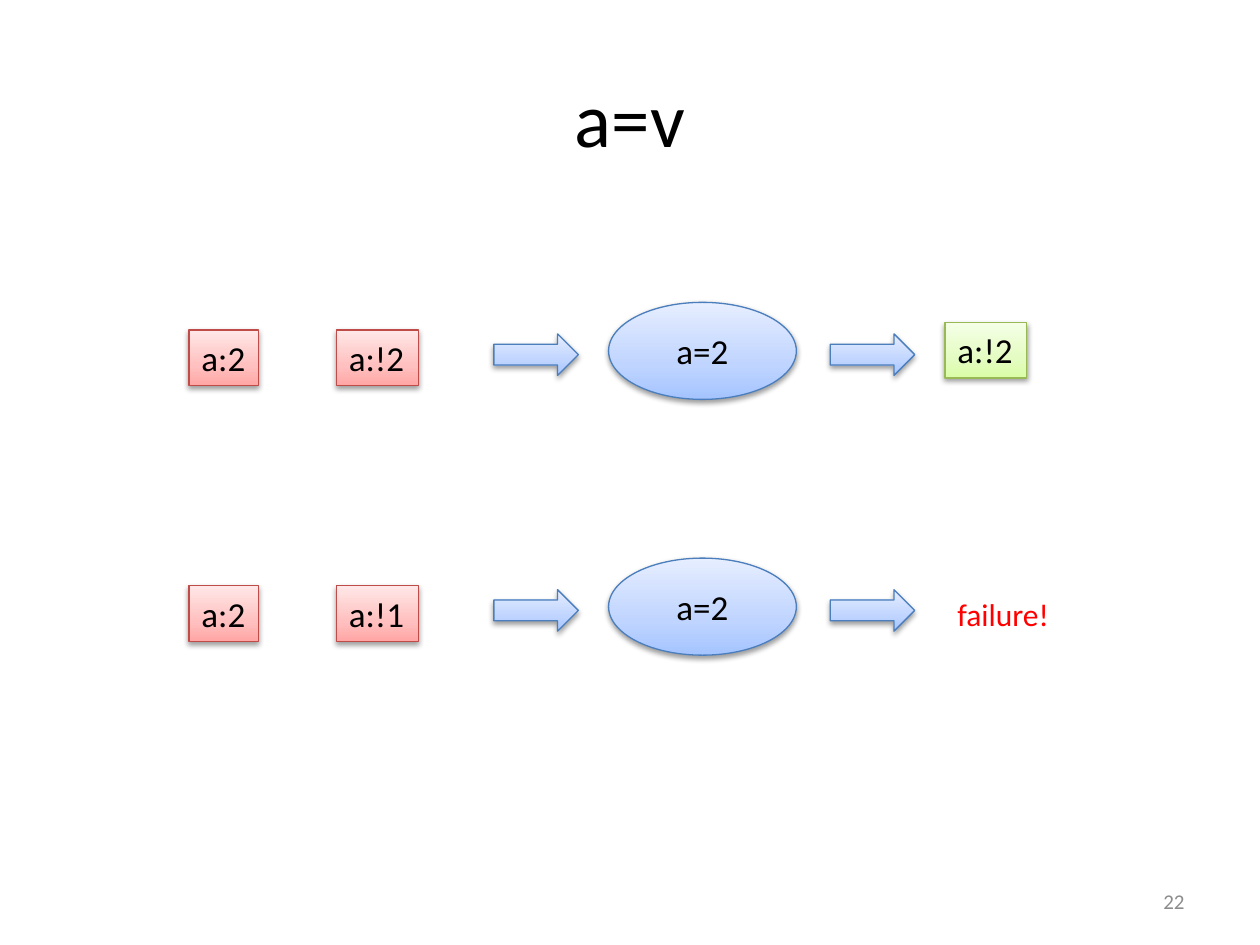
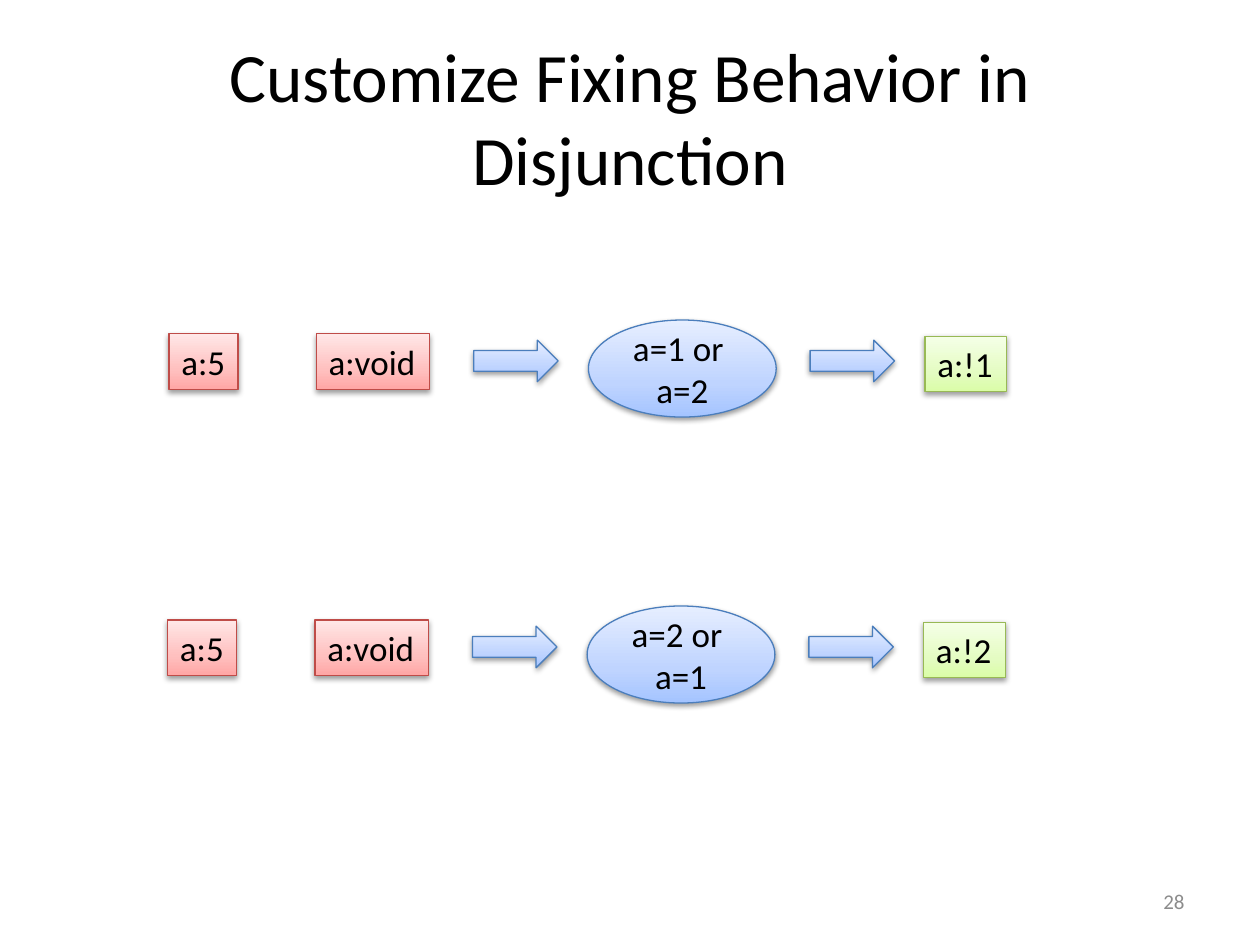
import copy
import pptx
import pptx.util
import pptx.dml.color
import pptx.enum.shapes
import pptx.enum.text
import pptx.oxml
import pptx.oxml.ns
from pptx.util import Inches

# Content: y is the top of the input boxes, the shifts are measured from it
SLIDES = [
    dict(title="a=v", size=44, number="22",
         shift=dict(arrow=0.03, ellipse=-0.22, result=-0.06, failure=0.02),
         rows=[dict(x=1.5, y=2.62, inputs=["a:2", "a:!2"], rule="a=2", result="a:!2"),
               dict(x=1.5, y=4.65, inputs=["a:2", "a:!1"], rule="a=2", failure="failure!")]),
    dict(title="Customize Fixing Behavior in Disjunction", size=39.6, number="28",
         shift=dict(arrow=0.05, ellipse=-0.11, result=0.02),
         rows=[dict(x=1.34, y=2.65, inputs=["a:5", "a:void"], rule="a=1 or \va=2", result="a:!1"),
               dict(x=1.33, y=4.92, inputs=["a:5", "a:void"], rule="a=2 or \va=1", result="a:!2")]),
]

# Shared style
FONT = "Calibri"
COLORS = dict(text="000000", failure="FF0000", number="8C8C8C")
PALETTES = dict(
    red=dict(line="BF4C48", fill=["FFA6A5", "FFC0BF", "FFE7E7"]),
    green=dict(line="98B955", fill=["DAFDA7", "E4FCC2", "F5FFE7"]),
    blue=dict(line="4B7EBC", fill=["A4C4FF", "BFD4FF", "E6EEFF"]),
)
STOPS = [0, 0.35, 1]
SHADOW = ('<a:outerShdw %s blurRad="40000" dist="20000" dir="5400000" rotWithShape="0">'
          '<a:srgbClr val="000000"><a:alpha val="38000"/></a:srgbClr></a:outerShdw>'
          % pptx.oxml.ns.nsdecls("a"))

# Shared grid: column offsets from the left of a row, and sizes
INPUT_X, ARROW_X, ELLIPSE_X, RESULT_X = [0, 1.17], [2.42, 5.09], 3.33, 6.0
BOX_W = {3: 0.55, 4: 0.65, 6: 0.9}  # by number of letters
BOX_H = 0.44

SHAPE = pptx.enum.shapes.MSO_SHAPE
ALIGN = pptx.enum.text.PP_ALIGN
ANCHOR = pptx.enum.text.MSO_ANCHOR
FIT = pptx.enum.text.MSO_AUTO_SIZE.SHAPE_TO_FIT_TEXT


def rgb(value):
    return pptx.dml.color.RGBColor.from_string(value)


def write(sp, text, size=20, color="text", align=ALIGN.LEFT, anchor=ANCHOR.TOP,
          wrap=False, grow=False):
    tf = sp.text_frame
    tf.word_wrap = wrap
    tf.vertical_anchor = anchor
    if grow:
        tf.auto_size = FIT
    p = tf.paragraphs[0]
    p.text = text
    p.alignment = align
    for r in p.runs:
        r.font.name = FONT
        r.font.size = pptx.util.Pt(size)
        r.font.color.rgb = rgb(COLORS[color])


def add_text(s, box, text, **style):
    write(s.shapes.add_textbox(*map(Inches, box)), text, **style)


def add_shape(s, kind, box, palette):
    sp = s.shapes.add_shape(kind, *map(Inches, box))
    colors = PALETTES[palette]
    sp.line.color.rgb = rgb(colors["line"])
    sp.line.width = pptx.util.Pt(0.75)
    # Gradient of three stops, darkest at the bottom
    sp.fill.gradient()
    sp.fill.gradient_angle = 90
    first = sp._element.spPr.find(".//" + pptx.oxml.ns.qn("a:gs"))
    first.addnext(copy.deepcopy(first))
    for stop, position, color in zip(sp.fill.gradient_stops, STOPS, colors["fill"]):
        stop.position = position
        stop.color.rgb = rgb(color)
    # Soft shadow below
    sp.shadow.inherit = False
    effects = sp._element.spPr.find(pptx.oxml.ns.qn("a:effectLst"))
    effects.append(pptx.oxml.parse_xml(SHADOW))
    return sp


def add_box(s, x, y, text, palette):
    sp = add_shape(s, SHAPE.RECTANGLE, (x, y, BOX_W[len(text)], BOX_H), palette)
    write(sp, text, grow=True)


def add_row(s, row, shift):
    x, y = row["x"], row["y"]
    for dx, text in zip(INPUT_X, row["inputs"]):
        add_box(s, x + dx, y, text, "red")
    sp = add_shape(s, SHAPE.OVAL, (x + ELLIPSE_X, y + shift["ellipse"], 1.49, 0.77), "blue")
    write(sp, row["rule"], align=ALIGN.CENTER, anchor=ANCHOR.MIDDLE)
    for dx in ARROW_X:
        add_shape(s, SHAPE.RIGHT_ARROW, (x + dx, y + shift["arrow"], 0.67, 0.33), "blue")
    if "result" in row:
        add_box(s, x + RESULT_X, y + shift["result"], row["result"], "green")
    else:
        add_text(s, (x + RESULT_X, y + shift["failure"], 0.94, 0.4), row["failure"],
                 size=18, color="failure", grow=True)


def main():
    prs = pptx.Presentation()
    prs.slide_width, prs.slide_height = Inches(10), Inches(7.5)
    for content in SLIDES:
        s = prs.slides.add_slide(prs.slide_layouts[6])
        add_text(s, (0.5, 0.3, 9, 1.25), content["title"], size=content["size"],
                 align=ALIGN.CENTER, anchor=ANCHOR.MIDDLE, wrap=True)
        for row in content["rows"]:
            add_row(s, row, content["shift"])
        add_text(s, (7.17, 6.95, 2.33, 0.4), content["number"], size=12, color="number",
                 align=ALIGN.RIGHT, anchor=ANCHOR.MIDDLE, wrap=True)
    prs.save("out.pptx")


if __name__ == "__main__":
    main()
